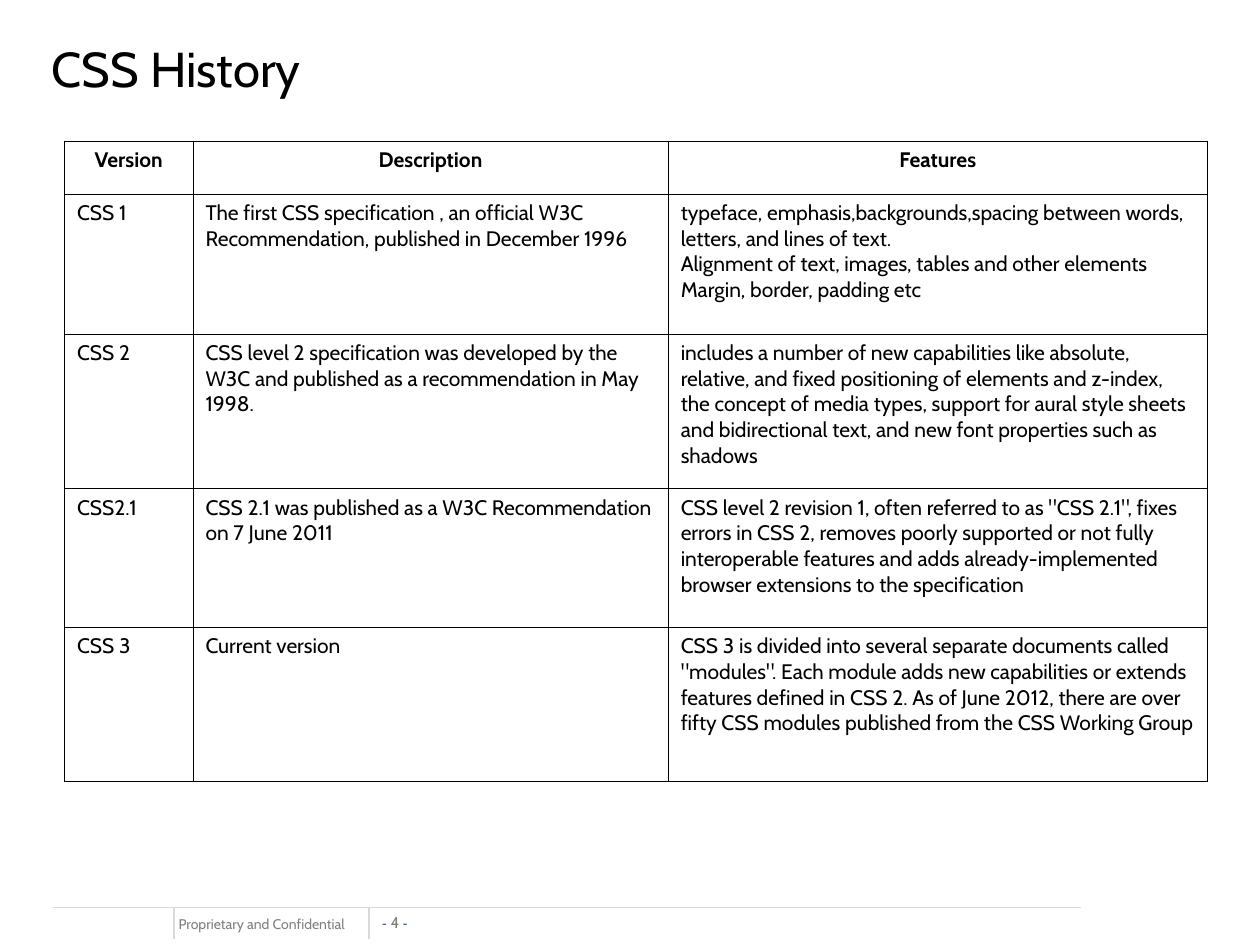
from dataclasses import dataclass

from lxml.etree import SubElement
from pptx import Presentation
from pptx.dml.color import RGBColor
from pptx.enum.shapes import MSO_CONNECTOR as Connector
from pptx.enum.text import MSO_ANCHOR as Anchor, MSO_AUTO_SIZE as AutoSize, PP_ALIGN as Align
from pptx.oxml import parse_xml
from pptx.oxml.ns import nsdecls, qn
from pptx.util import Cm, Pt


@dataclass(frozen=True)
class Theme:
    font: str = "Cabin"
    dash_font: str = "Arial"
    ink: str = "000000"
    muted: str = "7F7F7F"
    dash: str = "1F497D"
    rule: str = "D9D9D9"
    title_size: float = 28
    table_size: float = 12
    footer_size: float = 8
    number_size: float = 9
    rule_width: float = 0.75
    border_width: float = 0.45


THEME = Theme()

COLUMN_WIDTHS = (2.59, 9.58, 10.87)
ROW_HEIGHTS = (1.07, 2.82, 3.12, 2.79, 3.12)
HISTORY = (
    ("Version", "Description", "Features"),
    ("CSS 1",
     "The first CSS specification , an official W3C Recommendation, "
     "published in December 1996",
     "typeface, emphasis,backgrounds,spacing between words, letters, and lines of text.\n"
     "Alignment of text, images, tables and other elements Margin, border, padding etc"),
    ("CSS 2",
     "CSS level 2 specification was developed by the W3C and published as a "
     "recommendation in May 1998.",
     "includes a number of new capabilities like absolute, relative, and fixed "
     "positioning of elements and z-index, the concept of media types, support for "
     "aural style sheets and bidirectional text, and new font properties such as shadows"),
    ("CSS2.1",
     "CSS 2.1 was published as a W3C Recommendation on 7 June 2011",
     'CSS level 2 revision 1, often referred to as "CSS 2.1", fixes errors in CSS 2, '
     "removes poorly supported or not fully interoperable features and adds "
     "already-implemented browser extensions to the specification"),
    ("CSS 3",
     "Current version",
     'CSS 3 is divided into several separate documents called "modules". Each module '
     "adds new capabilities or extends features defined in CSS 2. As of June 2012, "
     "there are over fifty CSS modules published from the CSS Working Group"),
)


def format_run(run, size, color=THEME.ink, font=THEME.font, bold=False):
    run.font.name = font
    run.font.size = Pt(size)
    run.font.bold = bold
    run.font.color.rgb = RGBColor.from_string(color)


def add_rule(slide, x1, y1, x2, y2):
    rule = slide.shapes.add_connector(Connector.STRAIGHT, Cm(x1), Cm(y1), Cm(x2), Cm(y2))
    rule.line.color.rgb = RGBColor.from_string(THEME.rule)
    rule.line.width = Pt(THEME.rule_width)
    SubElement(rule._element.spPr, qn("a:effectLst"))


def add_footer_text(slide, left, top, width, height):
    frame = slide.shapes.add_textbox(Cm(left), Cm(top), Cm(width), Cm(height)).text_frame
    frame.word_wrap = True
    return frame


def add_footer(slide):
    top, bottom = 18.29, 18.92
    add_rule(slide, 21.79, top, 1.07, top)
    for x in (3.51, 7.44):
        add_rule(slide, x, top, x, bottom)

    notice = add_footer_text(slide, 3.35, 18.34, 4.34, 0.61)
    notice.text = "Proprietary and Confidential"
    format_run(notice.paragraphs[0].runs[0], THEME.footer_size, THEME.muted)

    # Page number between two dashes
    number = add_footer_text(slide, 7.01, 18.36, 1.9, 0.43)
    number.margin_left = number.margin_right = number.margin_top = number.margin_bottom = 0
    number.vertical_anchor = Anchor.BOTTOM
    line = number.paragraphs[0]
    line.alignment = Align.CENTER
    dash_style = (THEME.footer_size, THEME.dash, THEME.dash_font)
    number_style = (THEME.number_size, THEME.muted, THEME.font)
    for text, style in (("- ", dash_style), ("4 ", number_style), ("-", dash_style)):
        run = line.add_run()
        run.text = text
        format_run(run, *style)


def set_title(slide, text):
    title = slide.shapes.title
    title.left, title.top, title.width, title.height = Cm(0.79), Cm(0.18), Cm(19.05), Cm(2.39)
    frame = title.text_frame
    frame.text = text
    frame.auto_size = AutoSize.NONE
    frame.vertical_anchor = Anchor.MIDDLE
    frame.paragraphs[0].alignment = Align.LEFT
    format_run(frame.paragraphs[0].runs[0], THEME.title_size)


def set_borders(cell):
    properties = cell._tc.get_or_add_tcPr()
    for position, side in enumerate(("lnL", "lnR", "lnT", "lnB")):
        properties.insert(position, parse_xml(
            f'<a:{side} {nsdecls("a")} w="{Pt(THEME.border_width)}"><a:solidFill>'
            f'<a:srgbClr val="{THEME.ink}"/></a:solidFill></a:{side}>'))


def fill_cell(cell, text, is_header):
    cell.text = text
    cell.fill.background()
    set_borders(cell)
    for paragraph in cell.text_frame.paragraphs:
        paragraph.alignment = Align.CENTER if is_header else Align.LEFT
        for run in paragraph.runs:
            format_run(run, THEME.table_size, bold=is_header)


def add_history_table(slide):
    table = slide.shapes.add_table(
        len(ROW_HEIGHTS), len(COLUMN_WIDTHS), Cm(1.3), Cm(2.84),
        Cm(sum(COLUMN_WIDTHS)), Cm(sum(ROW_HEIGHTS))).table
    table.first_row = table.horz_banding = False
    for column, width in zip(table.columns, COLUMN_WIDTHS):
        column.width = Cm(width)
    for row_index, (row, height, texts) in enumerate(zip(table.rows, ROW_HEIGHTS, HISTORY)):
        row.height = Cm(height)
        for cell, text in zip(row.cells, texts):
            fill_cell(cell, text, is_header=row_index == 0)


def main():
    deck = Presentation()
    deck.slide_width, deck.slide_height = Cm(25.4), Cm(19.05)
    title_only = deck.slide_layouts[5]
    slide = deck.slides.add_slide(title_only)
    add_footer(slide)
    set_title(slide, "CSS History")
    add_history_table(slide)
    deck.save("out.pptx")


if __name__ == "__main__":
    main()
